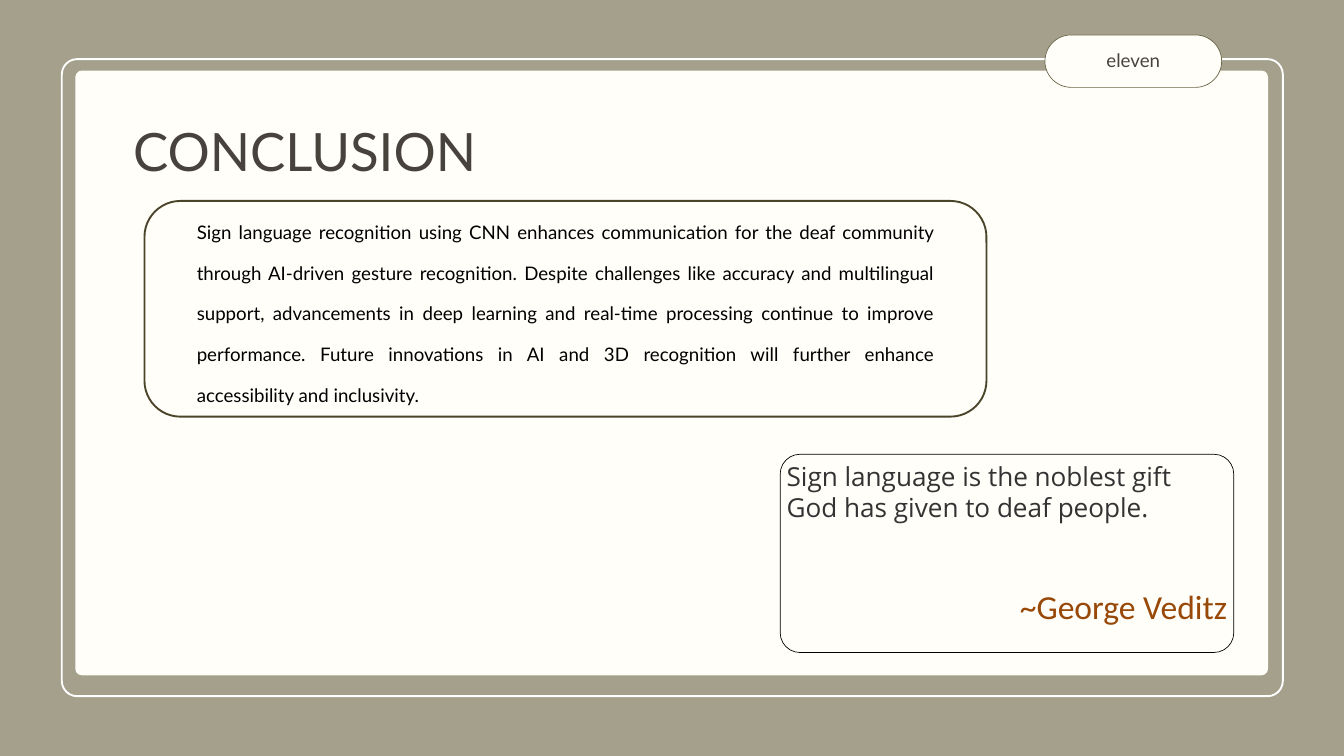
from pptx import Presentation
from pptx.dml.color import RGBColor
from pptx.enum.shapes import MSO_SHAPE
from pptx.enum.text import MSO_ANCHOR, PP_ALIGN
from pptx.util import Inches, Pt

PAGE, PAPER, WHITE, INK = "A4A08C", "FFFEF9", "FFFFFF", "48423D"
CONCLUSION = (
    "Sign language recognition using CNN enhances communication for the deaf community "
    "through AI-driven gesture recognition. Despite challenges like accuracy and "
    "multilingual support, advancements in deep learning and real-time processing continue "
    "to improve performance. Future innovations in AI and 3D recognition will further "
    "enhance accessibility and inclusivity."
)


def color(value):
    """Turn a hex string into a colour."""
    return RGBColor.from_string(value)


def inches(box):
    """Turn a box of left, top, width and height into lengths."""
    return [Inches(length) for length in box]


def add_panel(slide, box, corner, fill=None, line=None, width=0.75):
    """Add a rounded rectangle with an optional fill and outline."""
    shape = slide.shapes.add_shape(MSO_SHAPE.ROUNDED_RECTANGLE, *inches(box))
    shape.adjustments[0] = corner
    shape.shadow.inherit = False
    if fill:
        shape.fill.solid()
        shape.fill.fore_color.rgb = color(fill)
    else:
        shape.fill.background()
    if line:
        shape.line.color.rgb = color(line)
        shape.line.width = Pt(width)
    else:
        shape.line.fill.background()
    return shape


def prepare_frame(shape, margins, anchor=MSO_ANCHOR.TOP):
    """Set wrapping, anchor and the left, top, right and bottom margins."""
    frame = shape.text_frame
    frame.word_wrap = True
    frame.vertical_anchor = anchor
    frame.margin_left, frame.margin_top, frame.margin_right, frame.margin_bottom = inches(margins)
    return frame


def write(paragraph, text, size, font, ink, align=PP_ALIGN.LEFT, spacing=None):
    """Write one formatted run into a paragraph."""
    paragraph.alignment = align
    if spacing:
        paragraph.line_spacing = Pt(spacing)
    run = paragraph.add_run()
    run.text = text
    run.font.size = Pt(size)
    run.font.name = font
    run.font.color.rgb = color(ink)


def add_card(slide, box):
    """Add the outlined frame and the paper inside it."""
    left, top, width, height = box
    add_panel(slide, box, 0.024, line=WHITE, width=2)
    add_panel(slide, (left + 0.2, top + 0.17, width - 0.42, height - 0.48), 0.011, fill=PAPER)


def add_page_tab(slide, box, text):
    """Add the pill that holds the page number."""
    tab = add_panel(slide, box, 0.5, fill=PAPER, line="696344")
    frame = prepare_frame(tab, (0.04, 0, 0.04, 0.1), MSO_ANCHOR.MIDDLE)
    write(frame.paragraphs[0], text, 20, "Lato", INK, PP_ALIGN.CENTER, 28)


def add_title(slide, box, text):
    """Place and fill the title placeholder."""
    title = slide.shapes.title
    title.left, title.top, title.width, title.height = inches(box)
    frame = prepare_frame(title, (0, 0, 0, 0))
    write(frame.paragraphs[0], text, 56.6, "Lato", INK, spacing=68)


def add_summary(slide, box, text):
    """Add the outlined panel with the justified conclusion."""
    left, top, width, height = box
    add_panel(slide, box, 0.1667, line="4A452A", width=2)
    text_box = slide.shapes.add_textbox(
        *inches((left + 0.68, top - 0.02, width - 1.36, height - 0.11))
    )
    frame = prepare_frame(text_box, (0.1, 0.05, 0.1, 0.05))
    write(frame.paragraphs[0], text, 20, "Lato", "000000", PP_ALIGN.JUSTIFY, 43.5)


def add_quote(slide, box, text, author):
    """Add the panel with a quotation and its author."""
    panel = add_panel(slide, box, 0.1, fill=PAPER, line="000000")
    frame = prepare_frame(panel, (0.01, 0, 0.01, 0))
    write(frame.paragraphs[0], text, 28, "Open Sans", "333333")
    signature = frame.add_paragraph()
    signature.space_before = Pt(68)
    write(signature, author, 36, "Calibri", "984807", PP_ALIGN.RIGHT)


def main():
    """Build and save the conclusion slide."""
    presentation = Presentation()
    presentation.slide_width = Inches(20)
    presentation.slide_height = Inches(11.25)
    slide = presentation.slides.add_slide(presentation.slide_layouts[5])
    slide.background.fill.solid()
    slide.background.fill.fore_color.rgb = color(PAGE)
    add_card(slide, (0.92, 0.88, 18.17, 9.48))
    add_page_tab(slide, (15.55, 0.52, 2.63, 0.78), "eleven")
    add_title(slide, (1.98, 1.77, 9.59, 0.91), "CONCLUSION")
    add_summary(slide, (2.15, 2.99, 12.53, 3.21), CONCLUSION)
    add_quote(
        slide,
        (11.61, 6.76, 6.75, 2.95),
        "Sign language is the noblest gift God has given to deaf people.",
        "~George Veditz",
    )
    slide.shapes._spTree.append(slide.shapes.title._element)
    presentation.save("out.pptx")


if __name__ == "__main__":
    main()
